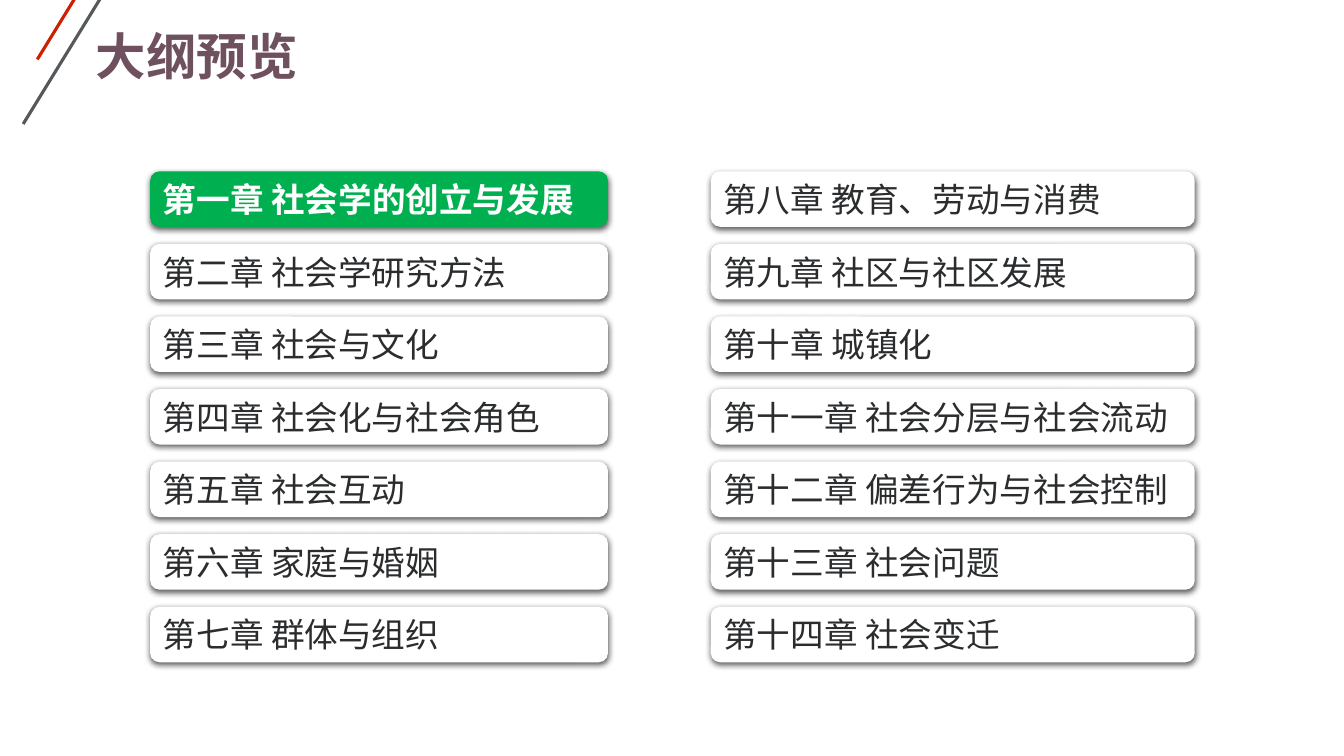
from lxml import etree
from pptx import Presentation
from pptx.dml.color import RGBColor
from pptx.enum.shapes import MSO_CONNECTOR, MSO_SHAPE
from pptx.enum.text import MSO_ANCHOR, PP_ALIGN
from pptx.oxml import parse_xml
from pptx.oxml.ns import nsdecls, qn
from pptx.util import Pt

STRAIGHT = MSO_CONNECTOR.STRAIGHT
ROUNDED = MSO_SHAPE.ROUNDED_RECTANGLE
LEFT = PP_ALIGN.LEFT
MIDDLE, BOTTOM = MSO_ANCHOR.MIDDLE, MSO_ANCHOR.BOTTOM

PX = 9144  # 100 px to the inch
FONT = "Noto Sans CJK SC"
WHITE = RGBColor(0xFF, 0xFF, 0xFF)
GREEN = RGBColor(0x00, 0xB0, 0x50)
RED = RGBColor(0xCE, 0x1F, 0x03)
GREY = RGBColor(0x55, 0x59, 0x5B)
PLUM = RGBColor(0x6F, 0x50, 0x5E)
INK = RGBColor(0x2A, 0x2C, 0x2E)

ROW_HEIGHT, ROW_PITCH = 55, 72
CURRENT_CHAPTER = "第一章 社会学的创立与发展"
FIRST_HALF = [
    CURRENT_CHAPTER,
    "第二章 社会学研究方法",
    "第三章 社会与文化",
    "第四章 社会化与社会角色",
    "第五章 社会互动",
    "第六章 家庭与婚姻",
    "第七章 群体与组织",
]
SECOND_HALF = [
    "第八章 教育、劳动与消费",
    "第九章 社区与社区发展",
    "第十章 城镇化",
    "第十一章 社会分层与社会流动",
    "第十二章 偏差行为与社会控制",
    "第十三章 社会问题",
    "第十四章 社会变迁",
]
SHADOW = (
    f'<a:effectLst {nsdecls("a")}>'
    '<a:outerShdw blurRad="57150" dist="19050" dir="5400000" algn="ctr" rotWithShape="0">'
    '<a:srgbClr val="000000"><a:alpha val="63000"/></a:srgbClr>'
    '</a:outerShdw></a:effectLst>'
)


def px(*lengths):
    return [length * PX for length in lengths]


def set_values(target, values):
    for name, value in values.items():
        setattr(target, name, value)


def write_text(shape, text, anchor, size, color, bold):
    frame = shape.text_frame
    set_values(frame, {"word_wrap": True, "vertical_anchor": anchor})
    paragraph = frame.paragraphs[0]
    paragraph.alignment = LEFT
    run = paragraph.add_run()
    run.text = text
    set_values(run.font, {"name": FONT, "size": Pt(size), "bold": bold})
    run.font.color.rgb = color
    latin = run.font._element.find(qn("a:latin"))
    east_asian = etree.Element(qn("a:ea"), typeface=FONT)
    latin.addnext(east_asian)
    return frame


def add_corner_strokes(slide, left, top):
    """Draw two parallel strokes that run past the top edge of the slide."""
    width, height = 118, 192
    for x, y, color in ((left, top, GREY), (left + 14, top - 64, RED)):
        stroke = slide.shapes.add_connector(STRAIGHT, *px(x + width, y, x, y + height))
        stroke.line.color.rgb = color
        stroke.line.width = Pt(2.25)
        stroke._element.spPr.append(etree.Element(qn("a:effectLst")))


def add_title(slide, left, top, width, height):
    box = slide.shapes.add_textbox(*px(left, top, width, height))
    frame = write_text(box, "大纲预览", BOTTOM, 36, PLUM, True)
    side, edge = px(12, 6)
    set_values(frame, {"margin_left": side, "margin_right": side,
                       "margin_top": edge, "margin_bottom": edge})
    frame.paragraphs[0].line_spacing = 0.9


def add_chapter_column(slide, chapters, left, top, width):
    for row, chapter in enumerate(chapters):
        current = chapter == CURRENT_CHAPTER
        card = slide.shapes.add_shape(
            ROUNDED, *px(left, top + row * ROW_PITCH, width, ROW_HEIGHT))
        card.fill.solid()
        card.fill.fore_color.rgb = GREEN if current else WHITE
        card.line.fill.background()
        card._element.spPr.append(parse_xml(SHADOW))
        write_text(card, chapter, MIDDLE, 24, WHITE if current else INK, current)


def main():
    presentation = Presentation()
    set_values(presentation, {"slide_width": 1333 * PX, "slide_height": 750 * PX})
    slide = presentation.slides.add_slide(presentation.slide_layouts[6])
    add_corner_strokes(slide, 23, -69)
    add_title(slide, 83, 26, 1168, 66)
    add_chapter_column(slide, FIRST_HALF, 149, 170, 454)
    add_chapter_column(slide, SECOND_HALF, 705, 170, 480)
    presentation.save("out.pptx")


if __name__ == "__main__":
    main()
